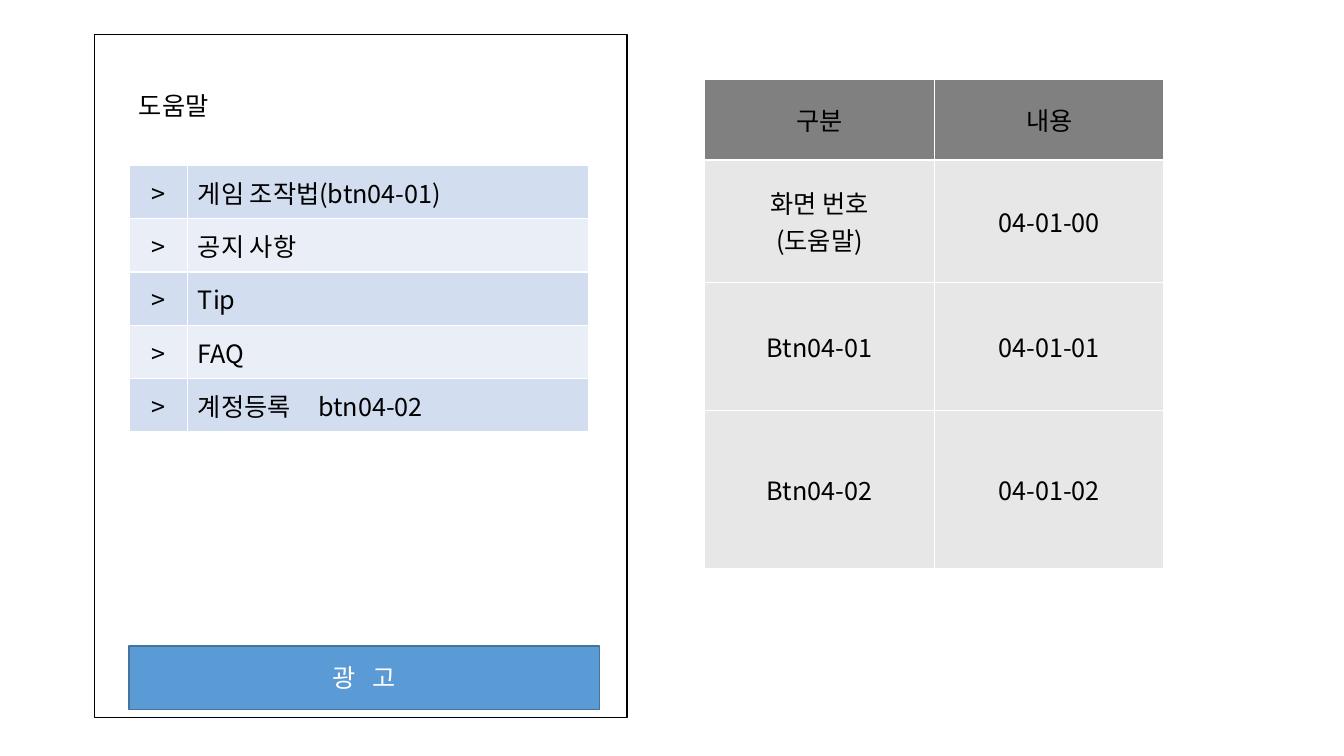
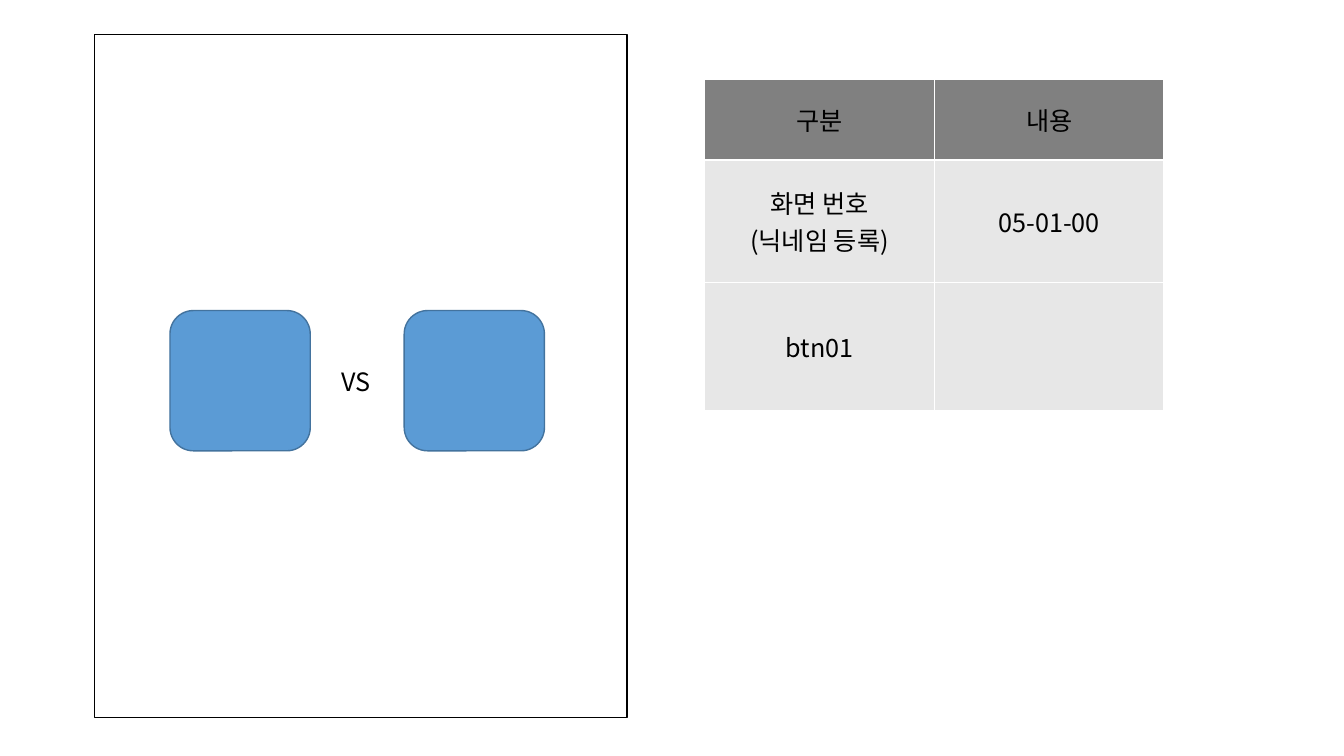
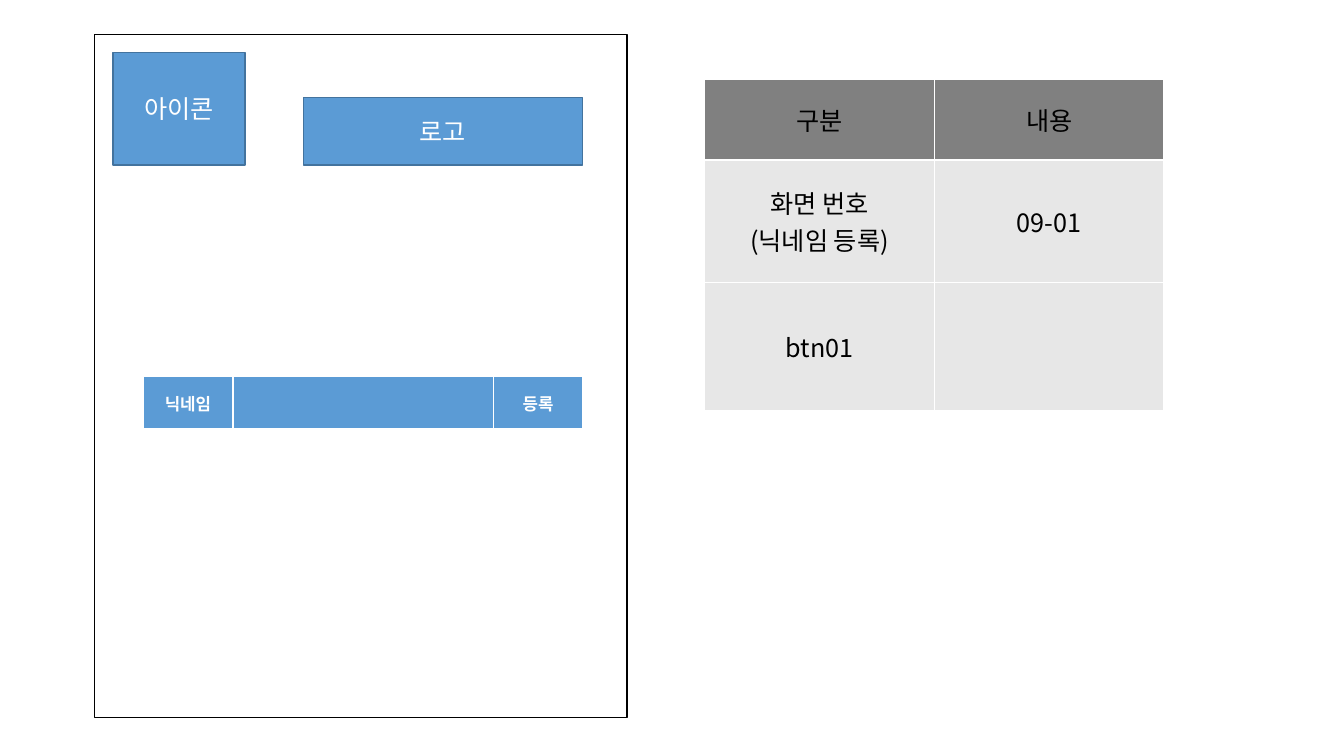
from dataclasses import dataclass

from lxml import etree
from pptx import Presentation
from pptx.dml.color import RGBColor
from pptx.enum.shapes import MSO_SHAPE
from pptx.enum.text import MSO_ANCHOR, MSO_AUTO_SIZE, PP_ALIGN
from pptx.oxml.ns import qn
from pptx.util import Pt

RECT, ROUNDED = MSO_SHAPE.RECTANGLE, MSO_SHAPE.ROUNDED_RECTANGLE
LEFT, CENTER = PP_ALIGN.LEFT, PP_ALIGN.CENTER
MIDDLE = MSO_ANCHOR.MIDDLE
FIT_SHAPE = MSO_AUTO_SIZE.SHAPE_TO_FIT_TEXT
BLANK_LAYOUT = 6


@dataclass(frozen=True)
class Theme:
    font: str = "Noto Sans CJK KR"
    body: float = 18
    small: float = 12
    rule: float = 1
    heavy_rule: float = 3
    black: str = "000000"
    white: str = "FFFFFF"
    blue: str = "5B9BD5"
    blue_edge: str = "43739E"
    bands: tuple = ("D2DEEF", "EAEFF7")
    header: str = "808080"
    cell: str = "E7E7E7"


THEME = Theme()
SCREEN = (67.7, 24.5, 380.2, 488.2)
INFO_AT = (503.3, 56.9)
INFO_COLUMNS = (164.1, 164.1)
INFO_ROWS = (57.4, 87.3, 91.5, 113.2)


def points(lengths):
    return [Pt(length) for length in lengths]


def rgb(code):
    return RGBColor.from_string(code)


def add_span(para, text, color, size=THEME.body, bold=False, tracking=0):
    """Add a run; tracking is extra space after each letter, in points."""
    span = para.add_run()
    span.text = text
    font = span.font
    font.name, font.size, font.bold = THEME.font, Pt(size), bold
    font.color.rgb = rgb(color)
    props = span._r.get_or_add_rPr()
    etree.SubElement(props, qn("a:ea"), typeface=THEME.font)
    if tracking:
        props.set("spc", str(int(tracking * 100)))


def write(frame, text, color, align=LEFT, **style):
    """Fill a frame with one paragraph, breaking lines at newlines."""
    para = frame.paragraphs[0]
    para.alignment = align
    for index, line in enumerate(text.split("\n")):
        if index:
            para.add_line_break()
        add_span(para, line, color, **style)


def add_box(page, at, fill=THEME.blue, edge=THEME.blue_edge, text="", kind=RECT):
    box = page.shapes.add_shape(kind, *points(at))
    box.shadow.inherit = False
    box.fill.solid()
    box.fill.fore_color.rgb = rgb(fill)
    box.line.color.rgb = rgb(edge)
    box.line.width = Pt(THEME.rule)
    box.text_frame.vertical_anchor = MIDDLE
    box.text_frame.paragraphs[0].alignment = CENTER
    if text:
        write(box.text_frame, text, THEME.white, CENTER)
    return box


def add_label(page, at, text, wrap=False):
    label = page.shapes.add_textbox(*points(at))
    label.text_frame.word_wrap = wrap
    label.text_frame.auto_size = FIT_SHAPE
    write(label.text_frame, text, THEME.black)


def paint_cell(cell, fill, bottom):
    props = cell._tc.get_or_add_tcPr()
    for side in ("L", "R", "T", "B"):
        width = bottom if side == "B" else THEME.rule
        line = etree.SubElement(props, qn(f"a:ln{side}"), w=str(Pt(width)))
        paint = etree.SubElement(line, qn("a:solidFill"))
        etree.SubElement(paint, qn("a:srgbClr"), val=THEME.white)
    cell.fill.solid()
    cell.fill.fore_color.rgb = rgb(fill)
    cell.vertical_anchor = MIDDLE


def add_grid(page, at, columns, heights, rows, fills, aligns,
             color=THEME.black, bottom=THEME.rule, **style):
    """Add a table with one fill per row and one alignment per column."""
    size = (sum(columns), sum(heights))
    grid = page.shapes.add_table(len(rows), len(columns), *points(at + size)).table
    grid.first_row = grid.horz_banding = False
    for column, width in zip(grid.columns, columns):
        column.width = Pt(width)
    for row, height, texts, fill in zip(grid.rows, heights, rows, fills):
        row.height = Pt(height)
        for cell, text, align in zip(row.cells, texts, aligns):
            paint_cell(cell, fill, bottom)
            if text:
                write(cell.text_frame, text, color, align, **style)


def add_screen_page(deck, info):
    """Add a page with an empty screen outline and its description table."""
    page = deck.slides.add_slide(deck.slide_layouts[BLANK_LAYOUT])
    add_box(page, SCREEN, THEME.white, THEME.black)
    rows = [("구분", "내용")] + info
    fills = [THEME.header] + [THEME.cell] * len(info)
    add_grid(page, INFO_AT, INFO_COLUMNS, INFO_ROWS[:len(rows)], rows, fills,
             (CENTER, CENTER))
    return page


def build_help(deck):
    page = add_screen_page(deck, [
        ("화면 번호\n(도움말)", "04-01-00"),
        ("Btn04-01", "04-01-01"),
        ("Btn04-02", "04-01-02"),
    ])
    banner = add_box(page, (92.2, 461.5, 336.2, 45.4))
    para = banner.text_frame.paragraphs[0]
    add_span(para, "광 ", THEME.white, tracking=4)
    add_span(para, "고", THEME.white)

    topics = ("게임 조작법(btn04-01)", "공지 사항", "Tip", "FAQ", "계정등록")
    rows = [(">", topic) for topic in topics]
    fills = [THEME.bands[index % 2] for index in range(len(rows))]
    add_grid(page, (92.2, 118.1), (42, 286), [38.1] * len(rows), rows, fills,
             (CENTER, LEFT))
    add_label(page, (92.2, 61.2, 69.1, 28.8), "도움말")
    add_label(page, (220.3, 275.8, 89.3, 28.8), "btn04-02")


def build_versus(deck):
    page = add_screen_page(deck, [
        ("화면 번호\n(닉네임 등록)", "05-01-00"),
        ("btn01", ""),
    ])
    for left in (121.4, 288.7):
        add_box(page, (left, 221.8, 100.2, 100.2), kind=ROUNDED)
    add_label(page, (236.6, 257.8, 36.3, 28.8), "VS", wrap=True)


def build_nickname(deck):
    page = add_screen_page(deck, [
        ("화면 번호\n(닉네임 등록)", "09-01"),
        ("btn01", ""),
    ])
    add_grid(page, (102.2, 268.8), (64.2, 186.4, 63.2), [38.6],
             [("닉네임", "", "등록")], [THEME.blue], [CENTER] * 3,
             color=THEME.white, bottom=THEME.heavy_rule,
             size=THEME.small, bold=True)
    add_box(page, (80.6, 37.4, 94.3, 80.6), text="아이콘")
    add_box(page, (216.7, 69.8, 199.4, 48.2), text="로고")


def main():
    deck = Presentation()
    deck.slide_width, deck.slide_height = Pt(960), Pt(540)
    build_help(deck)
    build_versus(deck)
    build_nickname(deck)
    deck.save("out.pptx")


if __name__ == "__main__":
    main()
